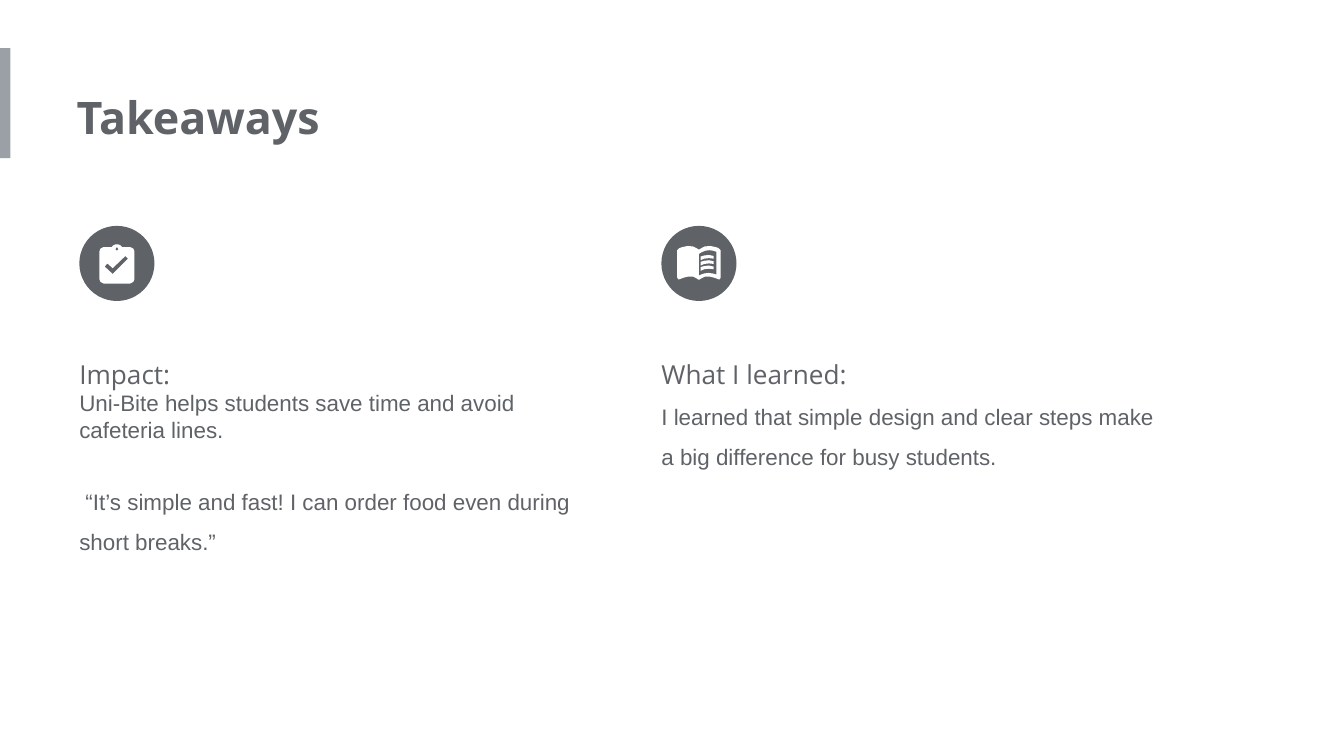
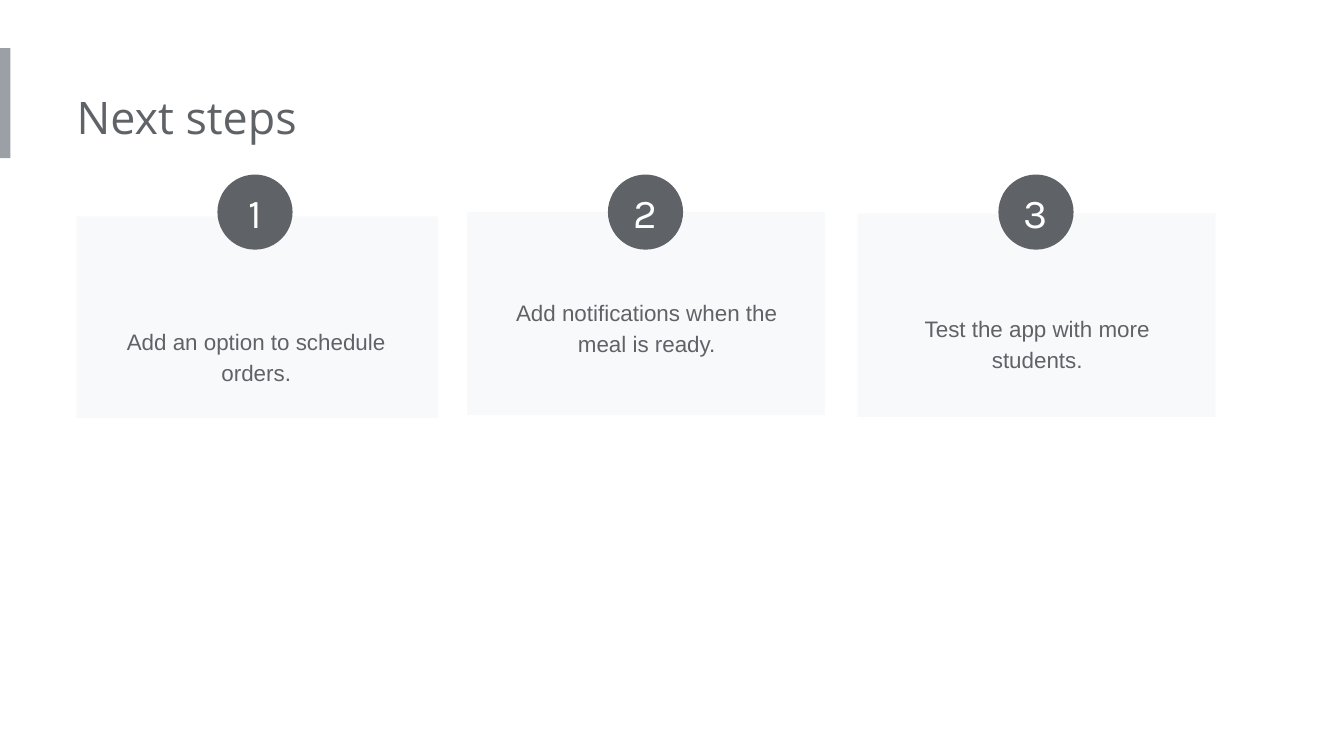
from pptx import Presentation
from pptx.dml.color import RGBColor
from pptx.enum.shapes import MSO_SHAPE as SHAPE
from pptx.enum.text import MSO_ANCHOR as ANCHOR, MSO_AUTO_SIZE as AUTO, PP_ALIGN as ALIGN
from pptx.util import Cm, Pt

GREY, BAR, PALE, WHITE = "5F6368", "9AA0A6", "F8F9FA", "FFFFFF"
HEAD, BODY, DIGIT = "Open Sans", "Arial", "Karla"
BADGE = 1.42
INSET = 0.25

CLIPBOARD = [
    [(58, 5), (43, 5), (40, 2), (36, 0), (30, 0), (26, 2), (23, 5), (8, 5), (2, 8), (0, 13),
     (0, 66), (2, 71), (8, 74), (58, 74), (64, 71), (66, 66), (66, 13), (64, 8)],
    [(33, 5), (36, 9), (33, 12), (30, 9)],
    [(25, 56), (10, 42), (15, 36), (25, 45), (49, 22), (54, 27)],
]
LEFT_COVER = [(41, 7), (36, 4), (30, 1), (20, 0), (10, 2), (4, 4), (0, 8), (0, 60), (2, 63),
              (4, 63), (12, 60), (20, 58), (30, 58), (36, 61), (41, 64)]
RIGHT_COVER = [(82 - x, y) for x, y in reversed(LEFT_COVER[1:-1])]
RIGHT_PAGE = [(41, 15), (46, 12), (53, 9), (61, 8), (68, 9), (74, 11),
              (74, 54), (67, 52), (59, 51), (51, 52), (45, 54), (41, 56)]
BOOK = [LEFT_COVER + RIGHT_COVER, RIGHT_PAGE]
TEXT_LINE = [(44, 20), (51, 18), (60, 17), (69, 19), (69, 24), (60, 23), (51, 24), (44, 27)]


def rgb(value):
    return RGBColor.from_string(value)


class Deck:
    def __init__(self):
        self.prs = Presentation()
        self.prs.slide_width = Cm(25.4)
        self.prs.slide_height = Cm(14.29)
        self.slide = None

    def new_slide(self, title, bold=False):
        self.slide = self.prs.slides.add_slide(self.prs.slide_layouts[6])
        self.shape(SHAPE.RECTANGLE, 0, 0.91, 0.2, 2.08, BAR)
        tf = self.textbox(1.45, 1.45, 13.7, 1.55)
        self.set_text(tf.paragraphs[0], title, 24, HEAD, bold=bold)

    def paint(self, s, color):
        s.shadow.inherit = False
        s.fill.solid()
        s.fill.fore_color.rgb = rgb(color)
        s.line.fill.background()
        return s

    def shape(self, kind, x, y, w, h, color):
        s = self.slide.shapes.add_shape(kind, Cm(x), Cm(y), Cm(w), Cm(h))
        return self.paint(s, color)

    def outline(self, x, y, contours, color=WHITE):
        builder = self.slide.shapes.build_freeform(*contours[0][0], scale=Cm(0.01))
        for i, points in enumerate(contours):
            if i:
                builder.move_to(*points[0])
            builder.add_line_segments(points[1:], close=True)
        return self.paint(builder.convert_to_shape(Cm(x), Cm(y)), color)

    def textbox(self, x, y, w, h, left=0):
        tf = self.slide.shapes.add_textbox(Cm(x), Cm(y), Cm(w), Cm(h)).text_frame
        tf.word_wrap = True
        tf.auto_size = AUTO.SHAPE_TO_FIT_TEXT
        tf.margin_left = Cm(left)
        tf.margin_right = tf.margin_top = tf.margin_bottom = Cm(INSET)
        return tf

    def set_text(self, p, text, size, font, color=GREY, bold=False, align=None, spacing=None, before=0):
        p.text = text
        p.alignment = align
        p.line_spacing = spacing
        if before:
            p.space_before = Pt(before)
        for r in p.runs:
            r.font.size = Pt(size)
            r.font.name = font
            r.font.bold = bold
            r.font.color.rgb = rgb(color)

    def badge(self, x, y, text=""):
        s = self.shape(SHAPE.OVAL, x, y, BADGE, BADGE, GREY)
        if text:
            tf = s.text_frame
            tf.margin_left = tf.margin_right = tf.margin_top = tf.margin_bottom = 0
            tf.vertical_anchor = ANCHOR.MIDDLE
            self.set_text(tf.paragraphs[0], text, 22, DIGIT, WHITE, align=ALIGN.CENTER)

    def column(self, x, height, heading, body):
        tf = self.textbox(x, 6.22, 9.58, height)
        self.set_text(tf.paragraphs[0], heading, 14, HEAD, spacing=1.5)
        for text, spacing, before in body:
            self.set_text(tf.add_paragraph(), text, 12, BODY, spacing=spacing, before=before)
        self.badge(x, 4.27)

    def card(self, x, y, w, h, text, text_top):
        self.shape(SHAPE.RECTANGLE, x, y, w, h, PALE)
        tf = self.textbox(x + 0.55, text_top, 5.69, 1.7, INSET)
        self.set_text(tf.paragraphs[0], text, 12, BODY, align=ALIGN.CENTER, spacing=1.15)


def takeaways(deck):
    deck.new_slide("Takeaways", bold=True)
    deck.column(1.5, 4.57, "Impact:", [
        ("Uni-Bite helps students save time and avoid cafeteria lines.", None, 0),
        (" “It’s simple and fast! I can order food even during short breaks.”", 1.5, 17),
    ])
    deck.column(12.5, 2.95, "What I learned:", [
        ("I learned that simple design and clear steps make a big difference for busy students.", 1.5, 0),
    ])
    deck.outline(1.88, 4.62, CLIPBOARD)
    deck.outline(12.8, 4.65, BOOK)
    for i in range(3):
        deck.outline(12.8, 4.65 + 0.1 * i, [TEXT_LINE])


def next_steps(deck):
    deck.new_slide("Next steps")
    steps = [
        (4.09, 6.83, 3.81, "Add an option to schedule orders.", 5.87),
        (4.01, 6.76, 3.84, "Add notifications when the meal is ready.", 5.33),
        (4.04, 6.76, 3.84, "Test the app with more students.", 5.64),
    ]
    pitch = 7.38
    for i, (top, width, height, text, text_top) in enumerate(steps):
        deck.card(1.45 + pitch * i, top, width, height, text, text_top)
    for i in range(len(steps)):
        deck.badge(4.11 + pitch * i, 3.3, str(i + 1))


def main():
    deck = Deck()
    takeaways(deck)
    next_steps(deck)
    deck.prs.save("out.pptx")


if __name__ == "__main__":
    main()
